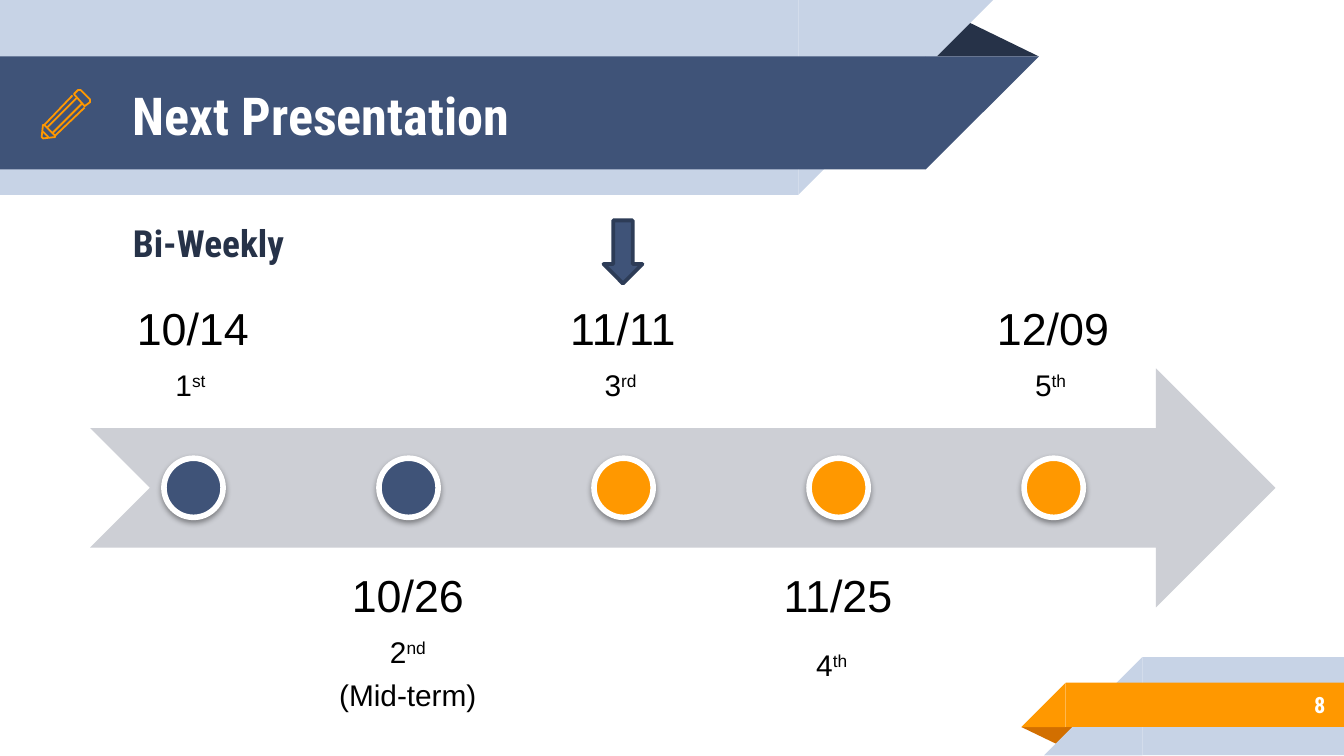
import lxml.etree
import pptx
import pptx.dml.color
import pptx.enum.shapes
import pptx.enum.text
import pptx.oxml
import pptx.oxml.ns
import pptx.util

Inches = pptx.util.Inches
Pt = pptx.util.Pt
RGBColor = pptx.dml.color.RGBColor
SHAPE = pptx.enum.shapes.MSO_SHAPE
ANCHOR = pptx.enum.text.MSO_ANCHOR
ALIGN = pptx.enum.text.PP_ALIGN

WHITE = RGBColor(0xFF, 0xFF, 0xFF)
BLACK = RGBColor(0, 0, 0)
PALE_BLUE = RGBColor(0xC7, 0xD3, 0xE6)
BLUE = RGBColor(0x3F, 0x53, 0x78)
EDGE_BLUE = RGBColor(0x2D, 0x3C, 0x57)
NAVY = RGBColor(0x26, 0x32, 0x48)
ORANGE = RGBColor(0xFF, 0x98, 0x00)
DARK_ORANGE = RGBColor(0xD2, 0x6F, 0x00)
GREY = RGBColor(0xCD, 0xCF, 0xD5)

HEADING = {"name": "Roboto Condensed", "bold": True}
DATE = {"name": "Arial", "size": Pt(24)}
ORDINAL = {"name": "Arial", "size": Pt(16)}

FIRST_CENTER, STEP = 1.44, 1.6
# Each milestone: date, ordinal runs as (text, raised, format), remark, dot colour
MILESTONES = [
    ("10/14", [("1", False, ORDINAL), ("st ", True, ORDINAL)], None, BLUE),
    ("10/26", [("2", False, ORDINAL), ("nd", True, ORDINAL)], "(Mid-term)", BLUE),
    ("11/11", [("3", False, ORDINAL), ("rd ", True, ORDINAL)], None, ORANGE),
    ("11/25", [("4", False, ORDINAL), ("th", True, ORDINAL), (" ", False, DATE)],
     None, ORANGE),
    ("12/09", [("5", False, ORDINAL), ("th ", True, ORDINAL)], None, ORANGE),
]

# Pencil strokes: points and whether the outline is closed
PENCIL = [
    ([(0.67, 0.74), (0.6, 0.67), (0.59, 0.67), (0.58, 0.67), (0.55, 0.7),
      (0.63, 0.79), (0.67, 0.76)], True),
    ([(0.61, 0.77), (0.39, 0.99)], False),
    ([(0.54, 0.71), (0.33, 0.93), (0.32, 0.93), (0.31, 1.02), (0.32, 1.03),
      (0.41, 1.02), (0.41, 1.01), (0.63, 0.8)], False),
    ([(0.35, 0.95), (0.57, 0.73)], False),
    ([(0.36, 1.02), (0.32, 0.98)], False),
    ([(0.33, 0.93), (0.41, 1.01)], False),
]


def add_filled(slide, kind, box, fill, line=None, width=0, adjustments=(), flip=None):
    """Add a preset shape; flip is None, 'flipH' or 'flipV'."""
    shape = slide.shapes.add_shape(kind, *map(Inches, box))
    shape.shadow.inherit = False
    shape.fill.solid()
    shape.fill.fore_color.rgb = fill
    if line is None:
        shape.line.fill.background()
    else:
        shape.line.color.rgb = line
        shape.line.width = Pt(width)
    for index, value in enumerate(adjustments):
        shape.adjustments[index] = value
    if flip:
        shape._element.spPr.xfrm.set(flip, "1")
    return shape


def add_text_frame(slide, box, anchor, inset_x, inset_y):
    frame = slide.shapes.add_textbox(*map(Inches, box)).text_frame
    settings = {
        "word_wrap": True, "vertical_anchor": anchor,
        "margin_left": Inches(inset_x), "margin_right": Inches(inset_x),
        "margin_top": Inches(inset_y), "margin_bottom": Inches(inset_y),
    }
    for key, value in settings.items():
        setattr(frame, key, value)
    return frame


def add_run(paragraph, text, style, color, raised=False):
    run = paragraph.add_run()
    run.text = text
    for key, value in style.items():
        setattr(run.font, key, value)
    run.font.color.rgb = color
    if raised:
        run._r.get_or_add_rPr().set("baseline", "30000")


def add_heading(slide, text, box, size, color, anchor=ANCHOR.MIDDLE,
                inset_y=0.1, align=ALIGN.LEFT):
    paragraph = add_text_frame(slide, box, anchor, 0.1, inset_y).paragraphs[0]
    paragraph.alignment = align
    add_run(paragraph, text, {**HEADING, "size": Pt(size)}, color)


def add_footer_ribbon(slide):
    fold = add_filled(slide, SHAPE.ISOSCELES_TRIANGLE, (7.6, 5.41, 0.43, 0.14),
                      DARK_ORANGE, adjustments=[0.324])
    fold.rotation = 180
    for left, top, slant, width, color in [(7.77, 4.89, 0.73, 1.5, PALE_BLUE),
                                           (7.6, 5.08, 0.33, 2.08, ORANGE)]:
        add_filled(slide, SHAPE.RECTANGLE, (left + slant, top, width, slant), color)
        add_filled(slide, SHAPE.RIGHT_TRIANGLE, (left, top, slant, slant), color,
                   flip="flipH")


def add_header_ribbon(slide):
    bands = [(0, 5.94, 1.45, PALE_BLUE), (0.42, 6.89, 0.84, BLUE)]
    add_filled(slide, SHAPE.ISOSCELES_TRIANGLE, (6.88, 0.14, 0.85, 0.28), NAVY,
               adjustments=[0.324])
    for top, width, height, color in bands:
        add_filled(slide, SHAPE.RECTANGLE, (0, top, width, height), color)
        add_filled(slide, SHAPE.RIGHT_TRIANGLE, (width, top, height, height), color,
                   flip="flipV")


def add_pencil(slide):
    for points, closed in PENCIL:
        start, *rest = [(Inches(x), Inches(y)) for x, y in points]
        builder = slide.shapes.build_freeform(*start)
        builder.add_line_segments(rest, close=closed)
        stroke = builder.convert_to_shape()
        stroke.shadow.inherit = False
        stroke.fill.background()
        stroke.line.color.rgb = ORANGE
        stroke.line.width = Pt(0.96)


def add_drop_shadow(shape):
    tag = pptx.oxml.ns.qn
    effects = shape._element.spPr.find(tag("a:effectLst"))
    shadow = lxml.etree.SubElement(
        effects, tag("a:outerShdw"), blurRad=str(Pt(3.1)), dist=str(Pt(1.6)),
        dir="5400000", rotWithShape="0")
    color = lxml.etree.SubElement(shadow, tag("a:srgbClr"), val="000000")
    lxml.etree.SubElement(color, tag("a:alpha"), val="38000")


def add_milestone(slide, center, above, date, ordinal, remark, color):
    top, anchor = (1.41, ANCHOR.BOTTOM) if above else (4.08, ANCHOR.TOP)
    frame = add_text_frame(slide, (center - 0.77, top, 1.53, 1.78), anchor, 0.19, 0.19)
    rows = [(0, [(date, False, DATE)]), (8.4, ordinal)]
    if remark:
        rows.append((5.6, [(remark, False, ORDINAL)]))
    for index, (space, runs) in enumerate(rows):
        paragraph = frame.add_paragraph() if index else frame.paragraphs[0]
        paragraph.alignment = ALIGN.CENTER
        paragraph.line_spacing = 0.9
        if space:
            paragraph.space_before = Pt(space)
        for text, raised, style in runs:
            add_run(paragraph, text, style, BLACK, raised)
    dot = add_filled(slide, SHAPE.OVAL, (center - 0.22, 3.41, 0.44, 0.44), color,
                     WHITE, 3)
    add_drop_shadow(dot)


def add_timeline(slide):
    add_filled(slide, SHAPE.NOTCHED_RIGHT_ARROW, (0.67, 2.74, 8.82, 1.78), GREY,
               adjustments=[0.5, 0.5])
    for index, milestone in enumerate(MILESTONES):
        add_milestone(slide, FIRST_CENTER + index * STEP, index % 2 == 0, *milestone)


def main():
    deck = pptx.Presentation()
    deck.slide_width = Inches(10)
    deck.slide_height = Inches(10 * 9 / 16)
    slide = deck.slides.add_slide(deck.slide_layouts[6])
    add_footer_ribbon(slide)
    add_header_ribbon(slide)
    add_heading(slide, "Next Presentation", (0.89, 0.43, 6.01, 0.84), 28, WHITE)
    add_heading(slide, "8", (8.33, 5.07, 1.63, 0.35), 12, WHITE, align=ALIGN.RIGHT)
    add_pencil(slide)
    add_timeline(slide)
    add_filled(slide, SHAPE.DOWN_ARROW, (4.49, 1.64, 0.29, 0.47), BLUE, EDGE_BLUE, 2,
               adjustments=[0.5, 0.5])
    add_heading(slide, "Bi-Weekly", (0.89, 1.59, 1.34, 0.44), 20, NAVY,
                anchor=ANCHOR.TOP, inset_y=0.05)
    deck.save("out.pptx")


if __name__ == "__main__":
    main()
